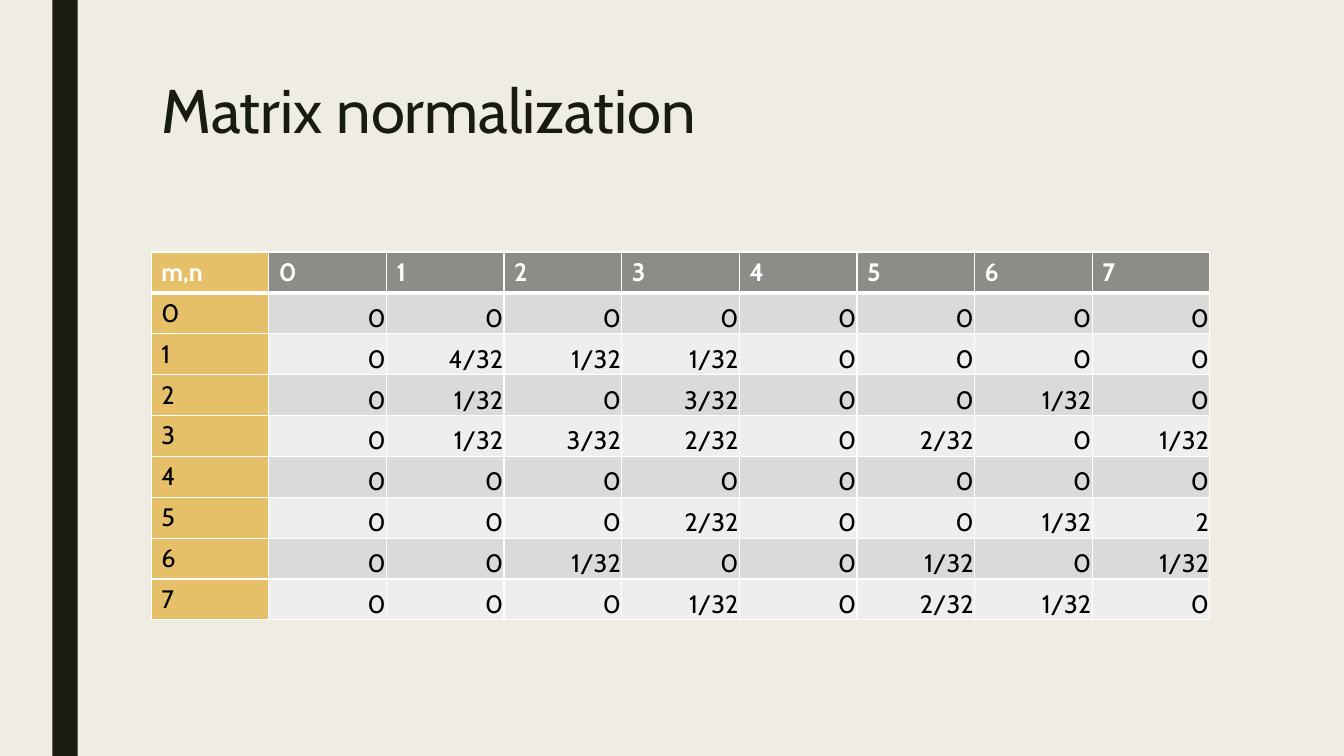
from lxml import etree
from pptx import Presentation
from pptx import util as u
from pptx.dml.color import RGBColor
from pptx.enum import shapes, text
from pptx.oxml.ns import qn

FONT = "Cabin"
COLORS = {
    "background": "EFEDE3",
    "dark": "191B0E",
    "label": "E6C069",
    "header": "8C8D86",
    "odd": "DADBD9",
    "even": "EEEEED",
    "white": "FFFFFF",
    "black": "000000",
}
MATRIX = [
    "m,n 0 1 2 3 4 5 6 7",
    "0 0 0 0 0 0 0 0 0",
    "1 0 4/32 1/32 1/32 0 0 0 0",
    "2 0 1/32 0 3/32 0 0 1/32 0",
    "3 0 1/32 3/32 2/32 0 2/32 0 1/32",
    "4 0 0 0 0 0 0 0 0",
    "5 0 0 0 2/32 0 0 1/32 2",
    "6 0 0 1/32 0 0 1/32 0 1/32",
    "7 0 0 0 1/32 0 2/32 1/32 0",
]


def paint(fill, color):
    fill.solid()
    fill.fore_color.rgb = RGBColor.from_string(COLORS[color])


def add_text(paragraph, words, size, color, bold=False):
    run = paragraph.add_run()
    run.text = words
    run.font.name = FONT
    run.font.size = u.Pt(size)
    run.font.bold = bold
    run.font.color.rgb = RGBColor.from_string(COLORS[color])


def add_side_bar(slide):
    bar = slide.shapes.add_shape(
        shapes.MSO_SHAPE.RECTANGLE,
        u.Inches(0.52), u.Inches(0), u.Inches(0.25), u.Inches(7.5))
    bar.shadow.inherit = False
    paint(bar.fill, "dark")
    bar.line.fill.background()


def set_title(slide, words):
    title = slide.shapes.title
    title.left, title.top = u.Inches(1.5), u.Inches(0.75)
    title.width, title.height = u.Inches(10.5), u.Inches(1.62)
    frame = title.text_frame
    frame.auto_size = text.MSO_AUTO_SIZE.NONE
    frame.word_wrap = True
    frame.vertical_anchor = text.MSO_ANCHOR.TOP
    paragraph = frame.paragraphs[0]
    paragraph.alignment = text.PP_ALIGN.LEFT
    paragraph.line_spacing = 0.89
    add_text(paragraph, words, 44, "dark")


def set_borders(cell, top, bottom):
    properties = cell._tc.get_or_add_tcPr()
    widths = {"a:lnL": 1, "a:lnR": 1, "a:lnT": top, "a:lnB": bottom}
    for position, (tag, width) in enumerate(widths.items()):
        line = etree.Element(qn(tag), w=str(u.Pt(width)))
        fill = etree.SubElement(line, qn("a:solidFill"))
        etree.SubElement(fill, qn("a:srgbClr"), val=COLORS["white"])
        properties.insert(position, line)


def fill_cell(cell, words, row, column):
    header, label = row == 0, column == 0
    paragraph = cell.text_frame.paragraphs[0]
    if not header and not label:
        cell.vertical_anchor = text.MSO_ANCHOR.BOTTOM
        cell.margin_left = cell.margin_right = cell.margin_top = u.Inches(0.01)
        cell.margin_bottom = 0
        paragraph.alignment = text.PP_ALIGN.RIGHT
    add_text(paragraph, words, 18, "white" if header else "black", header)
    band = "header" if header else ("odd" if row % 2 else "even")
    paint(cell.fill, "label" if label else band)
    set_borders(cell, 3 if row == 1 else 1, 3 if header else 1)


def add_matrix(slide, lines):
    rows = [line.split() for line in lines]
    table = slide.shapes.add_table(
        len(rows), len(rows[0]),
        u.Inches(1.5), u.Inches(2.5), u.Inches(10.5), u.Inches(3.65)).table
    table.first_row = False
    table.horz_banding = False
    for row, values in enumerate(rows):
        for column, words in enumerate(values):
            fill_cell(table.cell(row, column), words, row, column)


def main():
    presentation = Presentation()
    presentation.slide_width = u.Inches(13.33)
    presentation.slide_height = u.Inches(7.5)
    slide = presentation.slides.add_slide(presentation.slide_layouts[5])
    paint(slide.background.fill, "background")
    add_side_bar(slide)
    set_title(slide, "Matrix normalization")
    add_matrix(slide, MATRIX)
    presentation.save("out.pptx")


if __name__ == "__main__":
    main()
